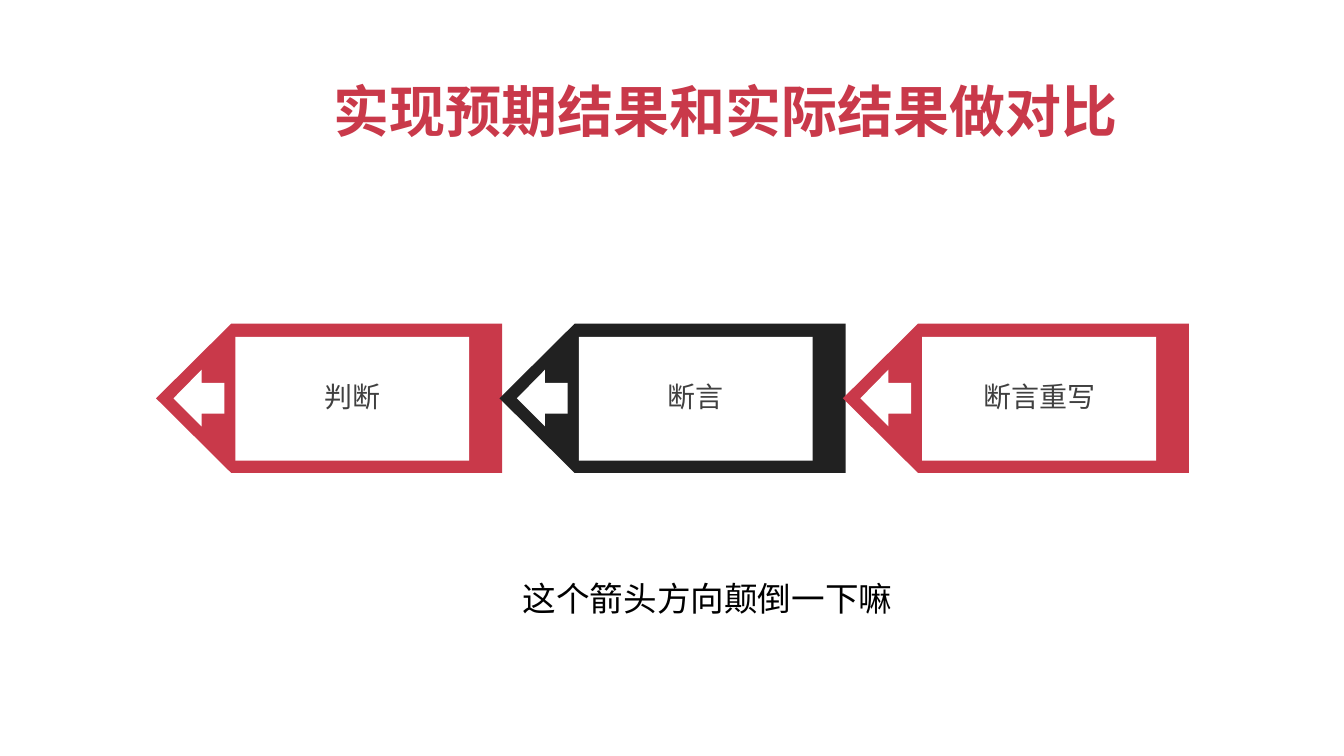
"""Build a slide with three left-pointing step banners, a title and a caption."""
from dataclasses import dataclass

from lxml import etree
from pptx import Presentation
from pptx import util as u
from pptx.dml.color import RGBColor
from pptx.enum import shapes, text
from pptx.oxml.ns import qn

RED = RGBColor(0xC9, 0x39, 0x4A)
DARK = RGBColor(0x21, 0x21, 0x21)
GRAY = RGBColor(0x40, 0x40, 0x40)
BLACK = RGBColor(0, 0, 0)
WHITE = RGBColor(0xFF, 0xFF, 0xFF)
SANS = "Noto Sans CJK SC"

FIRST_LEFT, BANNER_TOP, PITCH = 2.95, 6.12, 6.49
BANNER = [(1.42, 0), (6.54, 0), (6.54, 2.82), (1.42, 2.82), (0, 1.41)]
ARROW = [(0.86, 0.87), (0.86, 1.12), (1.29, 1.12), (1.29, 1.7),
         (0.86, 1.7), (0.86, 1.94), (0.33, 1.41)]


@dataclass(frozen=True)
class Step:
    label: str
    color: RGBColor


STEPS = [Step("判断", RED), Step("断言", DARK), Step("断言重写", RED)]


def paint(shape, color: RGBColor) -> None:
    shape.fill.solid()
    shape.fill.fore_color.rgb = color
    shape.line.fill.background()
    shape.shadow.inherit = False


def add_outline(container, points: list[tuple[float, float]], left: float, color: RGBColor) -> None:
    corners = [(u.Cm(left + x), u.Cm(BANNER_TOP + y)) for x, y in points]
    builder = container.build_freeform(*corners[0])
    builder.add_line_segments(corners[1:], close=True)
    paint(builder.convert_to_shape(), color)


def add_text(container, content: str, left: float, top: float, width: float, height: float, *,
             size: float, color: RGBColor, font: str = SANS, bold: bool = False,
             wrap: bool = False, align=text.PP_ALIGN.LEFT) -> None:
    box = container.add_textbox(u.Cm(left), u.Cm(top), u.Cm(width), u.Cm(height))
    frame = box.text_frame
    frame.word_wrap = wrap
    frame.auto_size = text.MSO_AUTO_SIZE.SHAPE_TO_FIT_TEXT
    frame.margin_left = frame.margin_right = u.Cm(0.13)
    frame.margin_top = frame.margin_bottom = u.Cm(0.13)
    paragraph = frame.paragraphs[0]
    paragraph.alignment = align
    run = paragraph.add_run()
    run.text = content
    run.font.size = u.Pt(size)
    run.font.bold = bold
    run.font.color.rgb = color
    run.font.name = font
    etree.SubElement(run.font._element, qn("a:ea"), typeface=font)


def add_step(slide, step: Step, left: float) -> None:
    group = slide.shapes.add_group_shape().shapes
    add_outline(group, BANNER, left, step.color)
    panel = group.add_shape(shapes.MSO_SHAPE.RECTANGLE, u.Cm(left + 1.5),
                            u.Cm(BANNER_TOP + 0.25), u.Cm(4.42), u.Cm(2.34))
    paint(panel, WHITE)
    add_outline(group, ARROW, left, WHITE)
    add_text(group, step.label, left + 1.5, BANNER_TOP + 0.92, 4.42, 0.99,
             size=15, color=GRAY, wrap=True, align=text.PP_ALIGN.CENTER)


def main() -> None:
    presentation = Presentation()
    presentation.slide_width = u.Cm(25.4)
    presentation.slide_height = u.Cm(14.29)
    slide = presentation.slides.add_slide(presentation.slide_layouts[6])
    add_text(slide.shapes, "实现预期结果和实际结果做对比", 6.17, 1.32, 15.11, 1.73,
             size=30, color=RED, bold=True)
    for index, step in enumerate(STEPS):
        add_step(slide, step, FIRST_LEFT + index * PITCH)
    add_text(slide.shapes, "这个箭头方向颠倒一下嘛", 9.75, 10.8, 7.57, 1.02,
             size=18, color=BLACK, font="Roboto")
    presentation.save("out.pptx")


if __name__ == "__main__":
    main()
